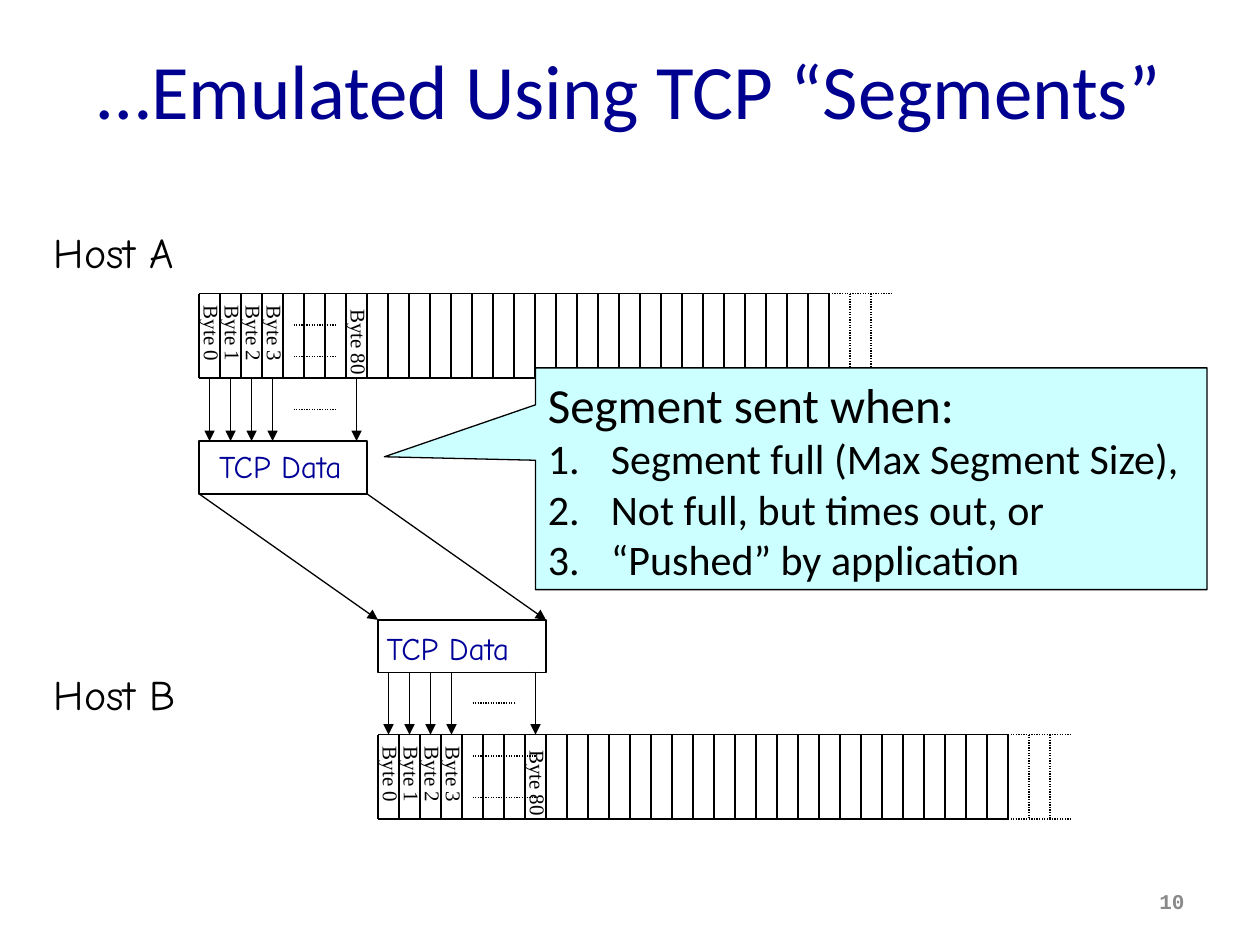
import dataclasses

import lxml.etree
import pptx
import pptx.dml.color
import pptx.enum.dml
import pptx.enum.shapes
import pptx.enum.text
import pptx.oxml.ns
import pptx.util

Inches = pptx.util.Inches
Pt = pptx.util.Pt
qn = pptx.oxml.ns.qn
Align = pptx.enum.text.PP_ALIGN
Anchor = pptx.enum.text.MSO_ANCHOR
Shape = pptx.enum.shapes.MSO_SHAPE


@dataclasses.dataclass(frozen=True)
class TextStyle:
    """Font, size, colour and weight of a kind of text."""

    font: str
    size: int
    color: str = "000000"
    bold: bool = False


@dataclasses.dataclass(frozen=True)
class Theme:
    """Colours, line width and text styles of the slide."""

    ink: str = "000000"
    packet: str = "FFFFFF"
    callout: str = "CCFFFF"
    line_width: float = 0.75
    title: TextStyle = TextStyle("Calibri", 44, "000090")
    heading: TextStyle = TextStyle("Calibri", 28)
    item: TextStyle = TextStyle("Calibri", 24)
    host: TextStyle = TextStyle("Comic Neue", 24)
    data: TextStyle = TextStyle("Comic Neue", 18, "000099")
    byte: TextStyle = TextStyle("Times New Roman", 12)
    number: TextStyle = TextStyle("Courier New", 12, "898989", True)


THEME = Theme()
CELL = 1 / 6
CELL_COUNT = 30
STREAM_HEIGHT = 0.67
PACKET_WIDTH, PACKET_HEIGHT = 8 * CELL, 0.42
BYTE_COLUMNS = {0: "Byte 0", 1: "Byte 1", 2: "Byte 2", 3: "Byte 3", 7: "Byte 80"}
REASONS = ["Segment full (Max Segment Size),", "Not full, but times out, or", "“Pushed” by application"]


def rgb(value):
    """Turn a hex string into a colour."""
    return pptx.dml.color.RGBColor.from_string(value)


def style_paragraph(para, style, align=Align.LEFT):
    """Format every run of a paragraph."""
    para.alignment = align
    for span in para.runs:
        span.font.name = style.font
        span.font.size = Pt(style.size)
        span.font.bold = style.bold
        span.font.color.rgb = rgb(style.color)


def add_title(page, text):
    """Fill and place the title placeholder."""
    title = page.shapes.title
    title.left, title.top, title.width, title.height = map(Inches, (0.5, 0.08, 9, 1.25))
    title.text_frame.text = text
    title.text_frame.vertical_anchor = Anchor.MIDDLE
    style_paragraph(title.text_frame.paragraphs[0], THEME.title, Align.CENTER)


def add_label(page, text, left, top, width, height, style, rotation=0):
    """Add a one-line label that hugs its text."""
    box = page.shapes.add_textbox(*map(Inches, (left, top, width, height)))
    box.rotation = rotation
    box.text_frame.text = text
    box.text_frame.word_wrap = False
    box.text_frame.auto_size = pptx.enum.text.MSO_AUTO_SIZE.SHAPE_TO_FIT_TEXT
    style_paragraph(box.text_frame.paragraphs[0], style)


def add_page_number(page, text):
    """Add the right-aligned page number."""
    box = page.shapes.add_textbox(*map(Inches, (7.17, 6.95, 2.33, 0.4)))
    box.text_frame.word_wrap = True
    box.text_frame.text = text
    box.text_frame.vertical_anchor = Anchor.MIDDLE
    style_paragraph(box.text_frame.paragraphs[0], THEME.number, Align.RIGHT)


def add_line(page, start, end, dotted=False, arrow=False):
    """Draw a straight line, optionally dotted or with an arrowhead."""
    line = page.shapes.add_connector(
        pptx.enum.shapes.MSO_CONNECTOR.STRAIGHT, *map(Inches, (*start, *end)))
    line.line.color.rgb = rgb(THEME.ink)
    line.line.width = Pt(THEME.line_width)
    if dotted:
        line.line.dash_style = pptx.enum.dml.MSO_LINE.ROUND_DOT
    if arrow:
        lxml.etree.SubElement(line.line._get_or_add_ln(), qn("a:tailEnd"), type="triangle")
    lxml.etree.SubElement(line._element.spPr, qn("a:effectLst"))


def add_filled_shape(page, kind, left, top, width, height, fill):
    """Add an outlined shape with a plain fill."""
    shape = page.shapes.add_shape(kind, *map(Inches, (left, top, width, height)))
    shape.shadow.inherit = False
    shape.fill.solid()
    shape.fill.fore_color.rgb = rgb(fill)
    shape.line.color.rgb = rgb(THEME.ink)
    shape.line.width = Pt(THEME.line_width)
    return shape


def add_stream(page, left, top, dots_right, dots_heights):
    """Draw a host's byte stream with its labels and trailing dotted cells."""
    bottom = top + STREAM_HEIGHT
    solid_end = left + CELL_COUNT * CELL
    for y in (top, bottom):
        add_line(page, (left, y), (solid_end, y))
        add_line(page, (solid_end, y), (solid_end + 0.5, y), dotted=True)
    for column in range(CELL_COUNT + 3):
        x = left + column * CELL
        add_line(page, (x, top), (x, bottom), dotted=column > CELL_COUNT)
    for column, text in BYTE_COLUMNS.items():
        width, drop = (0.73, 0.24) if column == 7 else (0.64, 0.17)
        center = left + (column + 0.5) * CELL + 0.02
        add_label(page, text, center - width / 2, top + drop, width, 0.3, THEME.byte, 89.8)
    for height in dots_heights:
        y = top + height
        add_line(page, (left + 0.75, y), (left + dots_right, y), dotted=True)


def add_packet(page, left, top, label_left, label_top):
    """Draw a TCP data packet with its label."""
    add_filled_shape(page, Shape.RECTANGLE, left, top, PACKET_WIDTH, PACKET_HEIGHT, THEME.packet)
    add_label(page, "TCP Data", label_left, label_top, 1.28, 0.4, THEME.data)


def add_byte_arrows(page, left, top, bottom):
    """Draw an arrow for each labelled byte and dots for the rest."""
    for column in BYTE_COLUMNS:
        x = left + (column + 0.5) * CELL
        add_line(page, (x, top), (x, bottom), arrow=True)
    middle = (top + bottom) / 2
    add_line(page, (left + 0.75, middle), (left + 1.08, middle), dotted=True)


def add_callout(page):
    """Add the callout that lists when a segment is sent."""
    callout = add_filled_shape(
        page, Shape.RECTANGULAR_CALLOUT, 4.25, 2.92, 5.33, 1.76, THEME.callout)
    callout.adjustments[0], callout.adjustments[1] = -0.725, -0.099
    frame = callout.text_frame
    frame.text = "\n".join(["Segment sent when:", *REASONS])
    frame.word_wrap = True
    frame.vertical_anchor = Anchor.TOP
    for index, para in enumerate(frame.paragraphs):
        style_paragraph(para, THEME.item if index else THEME.heading)
        properties = para._p.get_or_add_pPr()
        properties.set("marL", str(Inches(0.5)))
        properties.set("indent", str(-Inches(0.5)))
        if index:
            lxml.etree.SubElement(properties, qn("a:buFont"), typeface="+mj-lt")
            lxml.etree.SubElement(properties, qn("a:buAutoNum"), type="arabicPeriod")


def main():
    """Build the slide and save it."""
    deck = pptx.Presentation()
    deck.slide_width, deck.slide_height = Inches(10), Inches(7.5)
    page = deck.slides.add_slide(deck.slide_layouts[5])
    left_a, left_b = 1.58, 3
    packet_a, packet_b = 3.5, 4.92

    add_title(page, "…Emulated Using TCP “Segments”")
    add_label(page, "Host A", 0.33, 1.75, 1.29, 0.5, THEME.host)
    add_label(page, "Host B", 0.33, 5.26, 1.26, 0.5, THEME.host)
    add_stream(page, left_a, 2.33, 1.08, (0.25, 0.5))
    add_stream(page, left_b, 5.83, 1.25, (0.17, 0.5))
    add_packet(page, left_a, packet_a, 1.64, 3.5)
    add_packet(page, left_b, packet_b, 2.97, 4.94)
    for offset in (0, PACKET_WIDTH):
        add_line(page, (left_a + offset, packet_a + PACKET_HEIGHT),
                 (left_b + offset, packet_b), arrow=True)
    add_byte_arrows(page, left_a, 3, packet_a)
    add_byte_arrows(page, left_b, 5.33, 5.83)
    add_callout(page)
    add_page_number(page, "10")
    deck.save("out.pptx")


if __name__ == "__main__":
    main()
